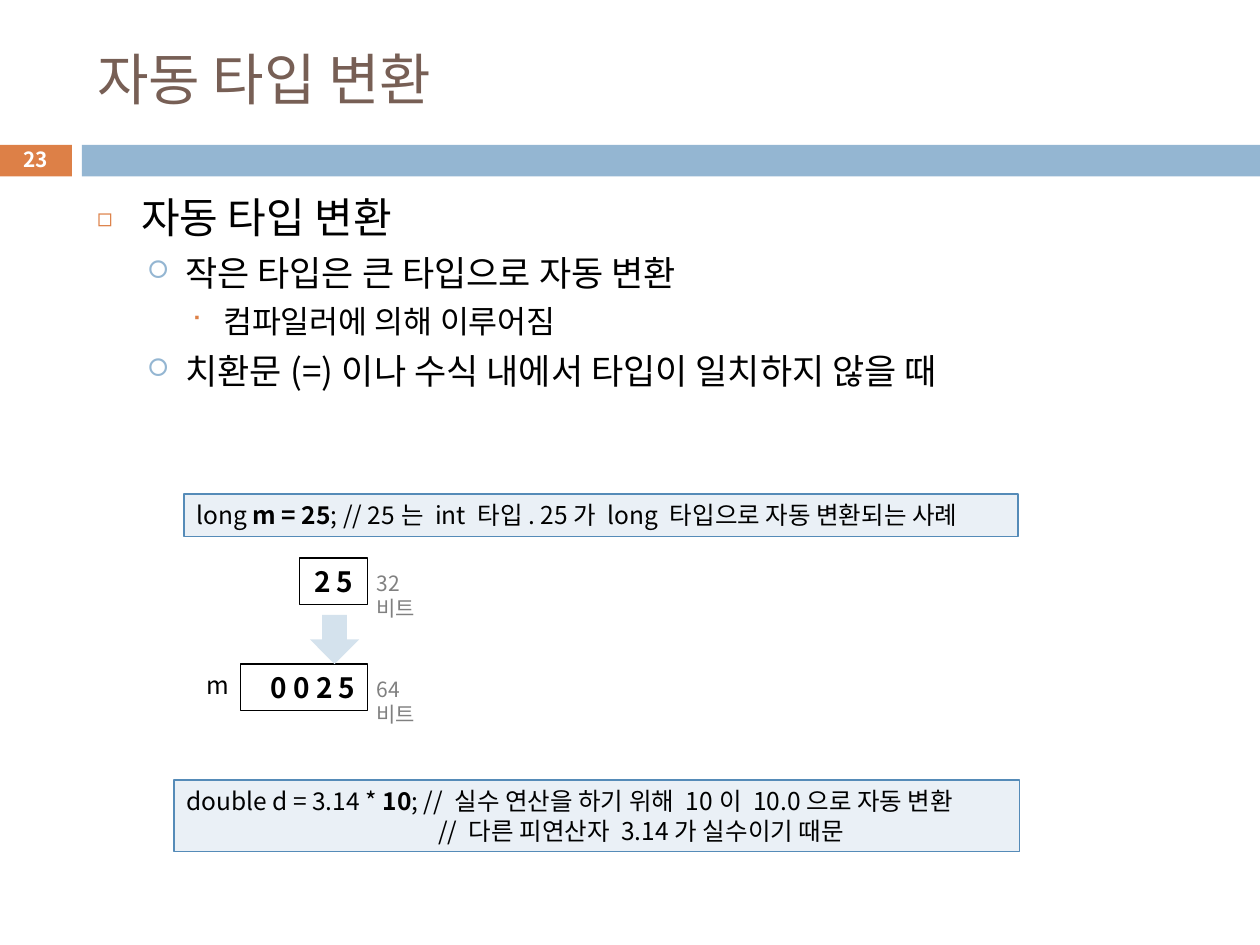
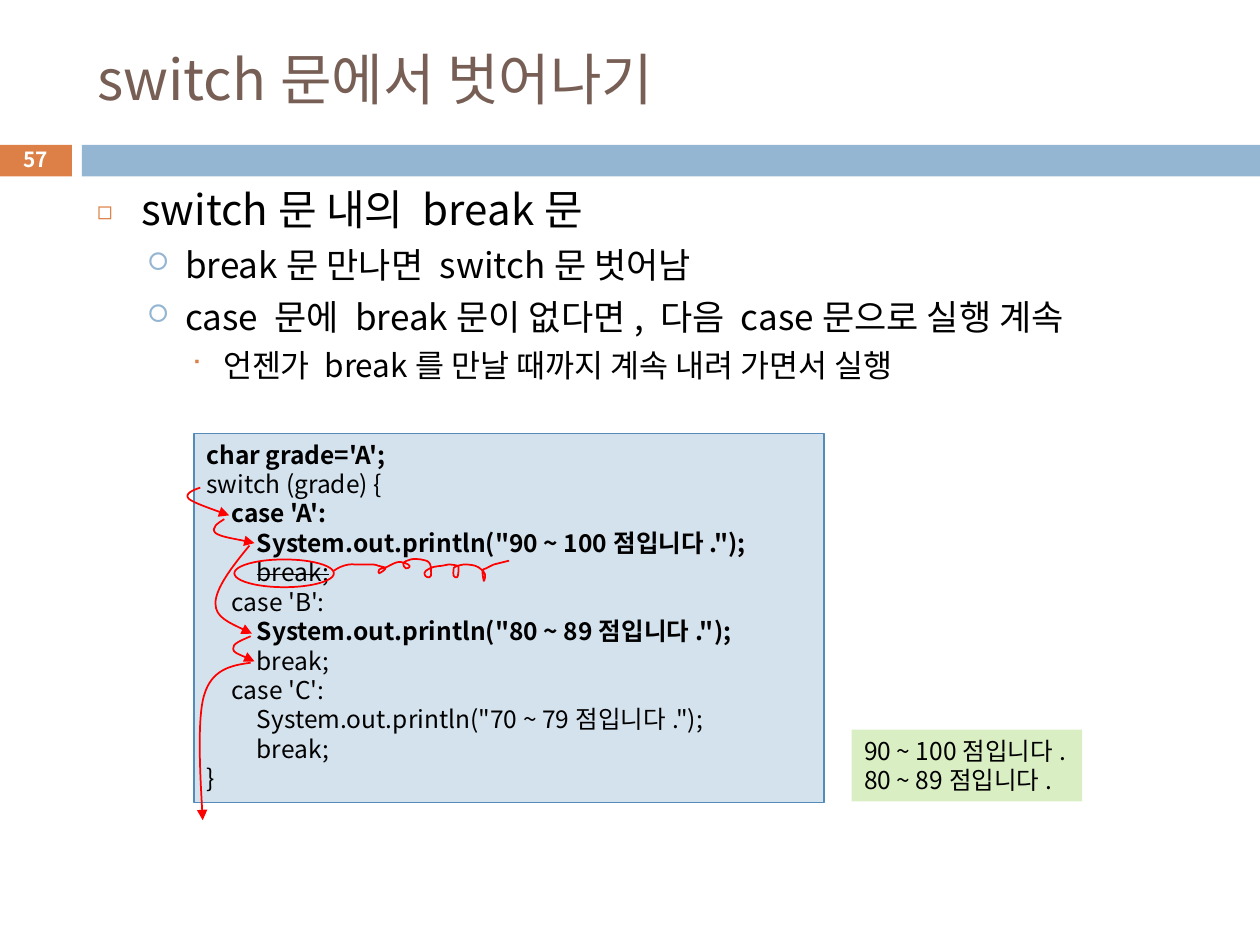
from dataclasses import dataclass

from lxml.etree import SubElement
from pptx import Presentation
from pptx.dml.color import RGBColor
from pptx.enum.shapes import MSO_SHAPE
from pptx.enum.text import MSO_ANCHOR, MSO_AUTO_SIZE, PP_ALIGN
from pptx.oxml.ns import qn
from pptx.util import Inches, Pt


@dataclass(frozen=True)
class Theme:
    font: str = "Noto Sans CJK KR"
    bullet_font: str = "Wingdings"
    title: str = "775F55"
    orange: str = "DD8047"
    blue: str = "94B6D2"
    white: str = "FFFFFF"
    black: str = "000000"
    gray: str = "808080"
    red: str = "FF0000"
    border: str = "558BB8"
    pale: str = "EAF0F6"
    light: str = "D4E2ED"
    green: str = "DAEEC4"
    title_size: float = 32
    value_size: float = 16
    code_size: float = 14
    small_size: float = 12
    badge_size: float = 11.9
    line_height: float = 1.2


theme = Theme()
# level: size, left margin, hanging indent, space before, bullet, font, colour, percent
LEVELS = [
    (24, 0.35, 0.35, 7, "◻", theme.font, theme.orange, 60),
    (20, 0.7, 0.3, 5.5, "□", theme.bullet_font, theme.blue, 70),
    (18, 1, 0.25, 5, "■", theme.bullet_font, theme.orange, 75),
]


def write(box, lines, size, color=theme.black, align=PP_ALIGN.LEFT, bold=False,
          anchor=MSO_ANCHOR.TOP, tab_stops=(), levels=()):
    frame = box.text_frame
    frame.word_wrap = True
    frame.auto_size = MSO_AUTO_SIZE.NONE
    frame.vertical_anchor = anchor
    for index, line in enumerate(lines):
        para = frame.add_paragraph() if index else frame.paragraphs[0]
        properties = para._p.get_or_add_pPr()
        if levels:
            size, margin, hanging, before, bullet, bullet_font, bullet_color, percent = LEVELS[levels[index]]
            para.level = levels[index]
            para.space_before = Pt(before if index else 0)
            properties.set("marL", str(Inches(margin)))
            properties.set("indent", str(-Inches(hanging)))
            SubElement(SubElement(properties, qn("a:buClr")), qn("a:srgbClr"), val=bullet_color)
            SubElement(properties, qn("a:buSzPct"), val=str(percent * 1000))
            SubElement(properties, qn("a:buFont"), typeface=bullet_font)
            SubElement(properties, qn("a:buChar"), char=bullet)
        if tab_stops:
            tab_list = SubElement(properties, qn("a:tabLst"))
            for stop in tab_stops:
                SubElement(tab_list, qn("a:tab"), pos=str(Inches(stop)), algn="l")
        para.alignment = align
        para.line_spacing = Pt(size * theme.line_height)
        para.font.name = theme.font
        para.font.size = Pt(size)
        para.font.bold = bold
        para.font.color.rgb = RGBColor.from_string(color)
        SubElement(properties.find(qn("a:defRPr")), qn("a:ea"), typeface=theme.font)
        for text, style in [(line, "")] if isinstance(line, str) else line:
            span = para.add_run()
            span.text = text
            if style == "bold":
                span.font.bold = True
            elif style == "strike":
                span._r.get_or_add_rPr().set("strike", "sngStrike")


def draw_curve(page, points, arrow=False):
    corners = [(Inches(x), Inches(y)) for x, y in points]
    builder = page.shapes.build_freeform(*corners[0])
    builder.add_line_segments(corners[1:], close=False)
    curve = builder.convert_to_shape()
    outline = curve._element.find(".//" + qn("a:path"))
    segments = outline.findall(qn("a:lnTo"))
    for first in range(0, len(segments), 3):
        bezier = SubElement(outline, qn("a:cubicBezTo"))
        for segment in segments[first:first + 3]:
            bezier.append(segment[0])
            outline.remove(segment)
    curve.shadow.inherit = False
    curve.fill.background()
    curve.line.color.rgb = RGBColor.from_string(theme.red)
    curve.line.width = Pt(1)
    if arrow:
        SubElement(curve.line._get_or_add_ln(), qn("a:tailEnd"), type="triangle")


deck = Presentation()
deck.slide_width = Inches(10)
deck.slide_height = Inches(7.5)

topics = [
    ("자동 타입 변환", "23", 1.47, 5.51, [
        (0, "자동 타입 변환"),
        (1, "작은 타입은 큰 타입으로 자동 변환"),
        (2, "컴파일러에 의해 이루어짐"),
        (1, "치환문(=)이나 수식 내에서 타입이 일치하지 않을 때"),
    ]),
    ("switch문에서 벗어나기", "57", 1.41, 2.19, [
        (0, "switch문 내의 break문"),
        (1, "break문 만나면 switch문 벗어남"),
        (1, "case 문에 break문이 없다면, 다음 case문으로 실행 계속"),
        (2, "언젠가 break를 만날 때까지 계속 내려 가면서 실행"),
    ]),
]
for heading, number, body_top, body_height, items in topics:
    page = deck.slides.add_slide(deck.slide_layouts[1])
    for left, width, color in [(-0.01, 0.58, theme.orange), (0.65, 9.35, theme.blue)]:
        band = page.shapes.add_shape(
            MSO_SHAPE.RECTANGLE, Inches(left), Inches(1.15), Inches(width), Inches(0.25))
        band.shadow.inherit = False
        band.fill.solid()
        band.fill.fore_color.rgb = RGBColor.from_string(color)
        band.line.fill.background()
    title, body = page.placeholders
    for holder, top, height in [(title, 0.25, 0.74), (body, body_top, body_height)]:
        holder.left, holder.top = Inches(0.67), Inches(top)
        holder.width, holder.height = Inches(8.92), Inches(height)
    write(title, [heading], theme.title_size, theme.title, anchor=MSO_ANCHOR.MIDDLE)
    write(body, [text for level, text in items], 0, levels=[level for level, text in items])
    badge = page.shapes.add_textbox(Inches(-0.01), Inches(1.13), Inches(0.58), Inches(0.27))
    write(badge, [number], theme.badge_size, theme.white, PP_ALIGN.CENTER, True, MSO_ANCHOR.MIDDLE)

conversion, switch = deck.slides

long_code = [[("long ", ""), ("m = 25", "bold"),
              ("; // 25는 int 타입. 25가 long 타입으로 자동 변환되는 사례", "")]]
double_code = [
    [("double d = 3.14 * ", ""), ("10", "bold"),
     ("; // 실수 연산을 하기 위해 10이 10.0으로 자동 변환", "")],
    "\t\t// 다른 피연산자 3.14가 실수이기 때문",
]
switch_code = [
    [("char grade='A';", "bold")],
    "switch (grade) {",
    [("\tcase 'A':", "bold")],
    [("\t\t", ""), ('System.out.println("90 ~ 100점입니다.");', "bold")],
    [("\t\t", ""), ("break;", "strike")],
    "\tcase 'B':",
    [("\t\t", ""), ('System.out.println("80 ~ 89점입니다.");', "bold")],
    "\t\tbreak;",
    "\tcase 'C':",
    '\t\tSystem.out.println("70 ~ 79점입니다.");',
    "\t\tbreak;",
    "}",
]
console = ["90 ~ 100점입니다.", "80 ~ 89점입니다."]

code = {"size": theme.code_size}
value = {"size": theme.value_size, "bold": True}
panels = [
    (conversion, MSO_SHAPE.RECTANGLE, (2.38, 4.43, 0.54, 0.37), None, theme.black, 0.75,
     ["2 5"], {**value, "align": PP_ALIGN.CENTER}),
    (conversion, MSO_SHAPE.RECTANGLE, (1.91, 5.27, 1.01, 0.37), None, theme.black, 0.75,
     ["0 0 2 5"], {**value, "align": PP_ALIGN.RIGHT}),
    (conversion, MSO_SHAPE.DOWN_ARROW, (2.46, 4.88, 0.39, 0.39), theme.light, None, 0, [], code),
    (conversion, MSO_SHAPE.RECTANGLE, (1.46, 3.92, 6.62, 0.34), theme.pale, theme.border, 0.75,
     long_code, code),
    (conversion, MSO_SHAPE.RECTANGLE, (1.38, 6.19, 6.71, 0.57), theme.pale, theme.border, 0.75,
     double_code, {**code, "tab_stops": (1, 2)}),
    (switch, MSO_SHAPE.RECTANGLE, (1.54, 3.44, 5, 2.93), theme.light, theme.border, 0.75,
     switch_code, {**code, "tab_stops": (0.2, 0.4)}),
    (switch, MSO_SHAPE.OVAL, (1.86, 4.44, 0.79, 0.22), None, theme.red, 1, [], code),
    (switch, MSO_SHAPE.RECTANGLE, (6.76, 5.79, 1.83, 0.57), theme.green, None, 0, console, code),
]
for page, preset, place, fill, outline, weight, lines, style in panels:
    panel = page.shapes.add_shape(preset, *map(Inches, place))
    panel.shadow.inherit = False
    if fill:
        panel.fill.solid()
        panel.fill.fore_color.rgb = RGBColor.from_string(fill)
    else:
        panel.fill.background()
    if outline:
        panel.line.color.rgb = RGBColor.from_string(outline)
        panel.line.width = Pt(weight)
    else:
        panel.line.fill.background()
    write(panel, lines, **style)

for text, left, top, width, size, color in [
    ("32비트", 2.89, 4.48, 0.68, theme.small_size, theme.gray),
    ("64비트", 2.89, 5.32, 0.68, theme.small_size, theme.gray),
    ("m", 1.54, 5.27, 0.38, theme.code_size, theme.black),
]:
    label = conversion.shapes.add_textbox(Inches(left), Inches(top), Inches(width), Inches(0.34))
    write(label, [text], size, color)

scribble = [
    (2.65, 4.53), (2.7, 4.5), (2.77, 4.48), (2.83, 4.48), (2.96, 4.48), (3, 4.49),
    (3.06, 4.51), (3.01, 4.55), (3.01, 4.52), (3.07, 4.5), (3.13, 4.47), (3.18, 4.46),
    (3.24, 4.48), (3.25, 4.5), (3.22, 4.51), (3.2, 4.47), (3.26, 4.44), (3.34, 4.44),
    (3.41, 4.47), (3.42, 4.57), (3.39, 4.58), (3.37, 4.56), (3.38, 4.53), (3.44, 4.5),
    (3.51, 4.49), (3.56, 4.48), (3.63, 4.49), (3.64, 4.51), (3.63, 4.58), (3.6, 4.57),
    (3.6, 4.52), (3.61, 4.5), (3.68, 4.48), (3.77, 4.49), (3.82, 4.52), (3.85, 4.56),
    (3.84, 4.61), (3.83, 4.53), (3.86, 4.51), (3.92, 4.48), (3.96, 4.47), (4.04, 4.45),
]
smooth = scribble[:1]
for index in range(len(scribble) - 1):
    start, end = scribble[index:index + 2]
    before = scribble[max(index - 1, 0)]
    after = scribble[min(index + 2, len(scribble) - 1)]
    smooth += [
        tuple(start[k] + (end[k] - before[k]) / 6 for k in (0, 1)),
        tuple(end[k] - (after[k] - start[k]) / 6 for k in (0, 1)),
        end,
    ]
draw_curve(switch, smooth)

for flow in [
    [(1.59, 3.87), (1.53, 3.89), (1.46, 3.92), (1.5, 3.96), (1.54, 3.99), (1.68, 4.04), (1.82, 4.09)],
    [(1.78, 4.12), (1.73, 4.15), (1.67, 4.19), (1.71, 4.23), (1.75, 4.26), (1.89, 4.28), (2.02, 4.31)],
    [(1.98, 4.33), (1.84, 4.5), (1.71, 4.67), (1.71, 4.79), (1.71, 4.9), (1.86, 4.96), (2, 5.03)],
    [(1.99, 5.05), (1.92, 5.08), (1.84, 5.11), (1.85, 5.15), (1.85, 5.18), (1.94, 5.21), (2.02, 5.25)],
    [(1.99, 5.26), (1.84, 5.28), (1.68, 5.31), (1.62, 5.52), (1.56, 5.72), (1.61, 6.51), (1.61, 6.51)],
]:
    draw_curve(switch, flow, arrow=True)

deck.save("out.pptx")
